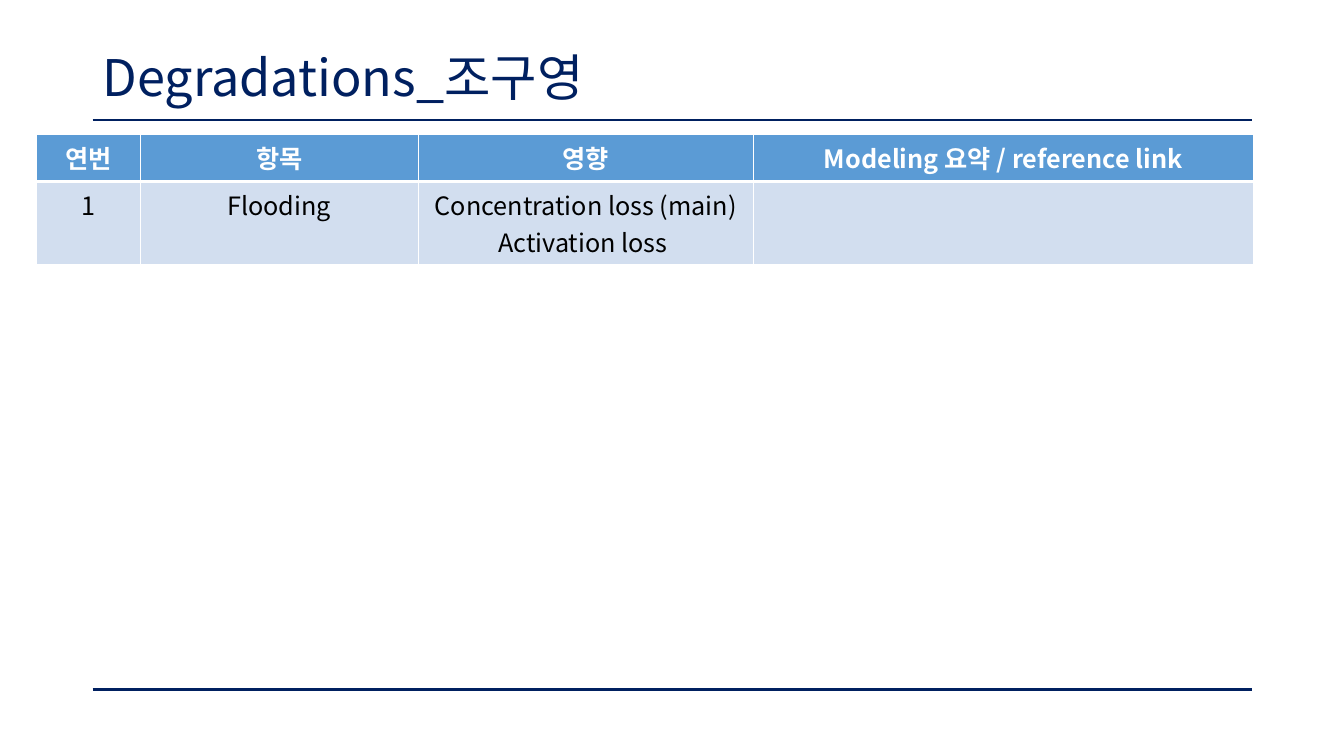
from dataclasses import dataclass

from lxml import etree
from pptx import Presentation
from pptx.dml.color import RGBColor
from pptx.enum.shapes import MSO_CONNECTOR
from pptx.enum.text import MSO_ANCHOR, PP_ALIGN
from pptx.oxml.ns import qn
from pptx.util import Inches, Pt

STRAIGHT = MSO_CONNECTOR.STRAIGHT
MIDDLE = MSO_ANCHOR.MIDDLE
CENTER = PP_ALIGN.CENTER


@dataclass(frozen=True)
class Theme:
    font: str = "Noto Sans CJK KR"
    navy: str = "002060"
    header_fill: str = "5B9BD5"
    body_fill: str = "D2DEEF"
    white: str = "FFFFFF"
    black: str = "000000"
    title_size: int = 36
    table_size: int = 18
    rule_width: int = 2
    grid_width: int = 1
    header_rule_width: int = 3


THEME = Theme()
SLIDE_WIDTH, SLIDE_HEIGHT = 13.33, 7.5
CONTENT_LEFT, CONTENT_WIDTH = 0.92, 11.5
TITLE_TOP, TITLE_HEIGHT = 0.4, 0.79
HEADER_RULE_Y, FOOTER_RULE_Y = TITLE_TOP + TITLE_HEIGHT, 6.84
TABLE_LEFT, TABLE_TOP = 0.36, 1.33
COLUMN_WIDTHS = (1.03, 2.76, 3.32, 4.96)
ROW_HEIGHTS = (0.47, 0.83)
DEGRADATIONS = (
    ("연번", "항목", "영향", "Modeling 요약 / reference link"),
    ("1", "Flooding", "Concentration loss (main)\nActivation loss ", ""),
)


def format_run(run, size, color, bold=False):
    run.font.name = THEME.font
    run.font.size = Pt(size)
    run.font.bold = bold
    run.font.color.rgb = RGBColor.from_string(color)
    east_asian = etree.SubElement(run.font._element, qn("a:ea"))
    east_asian.set("typeface", THEME.font)


def add_title(slide, text):
    title = slide.shapes.add_textbox(Inches(CONTENT_LEFT), Inches(TITLE_TOP),
                                     Inches(CONTENT_WIDTH), Inches(TITLE_HEIGHT))
    frame = title.text_frame
    frame.word_wrap = True
    frame.vertical_anchor = MIDDLE
    frame.text = text
    heading = frame.paragraphs[0]
    heading.line_spacing = 0.9
    format_run(heading.runs[0], THEME.title_size, THEME.navy)


def add_rule(slide, y):
    """Draw a horizontal line across the content width."""
    rule = slide.shapes.add_connector(
        STRAIGHT, Inches(CONTENT_LEFT), Inches(y),
        Inches(CONTENT_LEFT + CONTENT_WIDTH), Inches(y))
    rule.line.color.rgb = RGBColor.from_string(THEME.navy)
    rule.line.width = Pt(THEME.rule_width)
    etree.SubElement(rule._element.spPr, qn("a:effectLst"))


def set_borders(cell, widths):
    """Give the cell white borders; widths are for left, right, top, bottom."""
    properties = cell._tc.get_or_add_tcPr()
    for position, (side, width) in enumerate(zip("LRTB", widths)):
        border = etree.Element(qn(f"a:ln{side}"), w=str(Pt(width)))
        fill = etree.SubElement(border, qn("a:solidFill"))
        etree.SubElement(fill, qn("a:srgbClr"), val=THEME.white)
        properties.insert(position, border)


def fill_cell(cell, text, is_header):
    background = THEME.header_fill if is_header else THEME.body_fill
    cell.fill.solid()
    cell.fill.fore_color.rgb = RGBColor.from_string(background)
    grid, thick = THEME.grid_width, THEME.header_rule_width
    vertical = (grid, thick) if is_header else (thick, grid)
    set_borders(cell, (grid, grid) + vertical)
    cell.text_frame.text = text
    for paragraph in cell.text_frame.paragraphs:
        paragraph.alignment = CENTER
        for run in paragraph.runs:
            format_run(run, THEME.table_size,
                       THEME.white if is_header else THEME.black, is_header)


def add_degradation_table(slide):
    table = slide.shapes.add_table(
        len(ROW_HEIGHTS), len(COLUMN_WIDTHS),
        Inches(TABLE_LEFT), Inches(TABLE_TOP),
        Inches(sum(COLUMN_WIDTHS)), Inches(sum(ROW_HEIGHTS))).table
    for column, width in zip(table.columns, COLUMN_WIDTHS):
        column.width = Inches(width)
    for row, height in zip(table.rows, ROW_HEIGHTS):
        row.height = Inches(height)
    for row_index, entries in enumerate(DEGRADATIONS):
        for column_index, text in enumerate(entries):
            fill_cell(table.cell(row_index, column_index), text, row_index == 0)


def main():
    presentation = Presentation()
    presentation.slide_width = Inches(SLIDE_WIDTH)
    presentation.slide_height = Inches(SLIDE_HEIGHT)
    slide = presentation.slides.add_slide(presentation.slide_layouts[6])
    for y in (HEADER_RULE_Y, FOOTER_RULE_Y):
        add_rule(slide, y)
    add_title(slide, "Degradations_조구영")
    add_degradation_table(slide)
    presentation.save("out.pptx")


if __name__ == "__main__":
    main()
